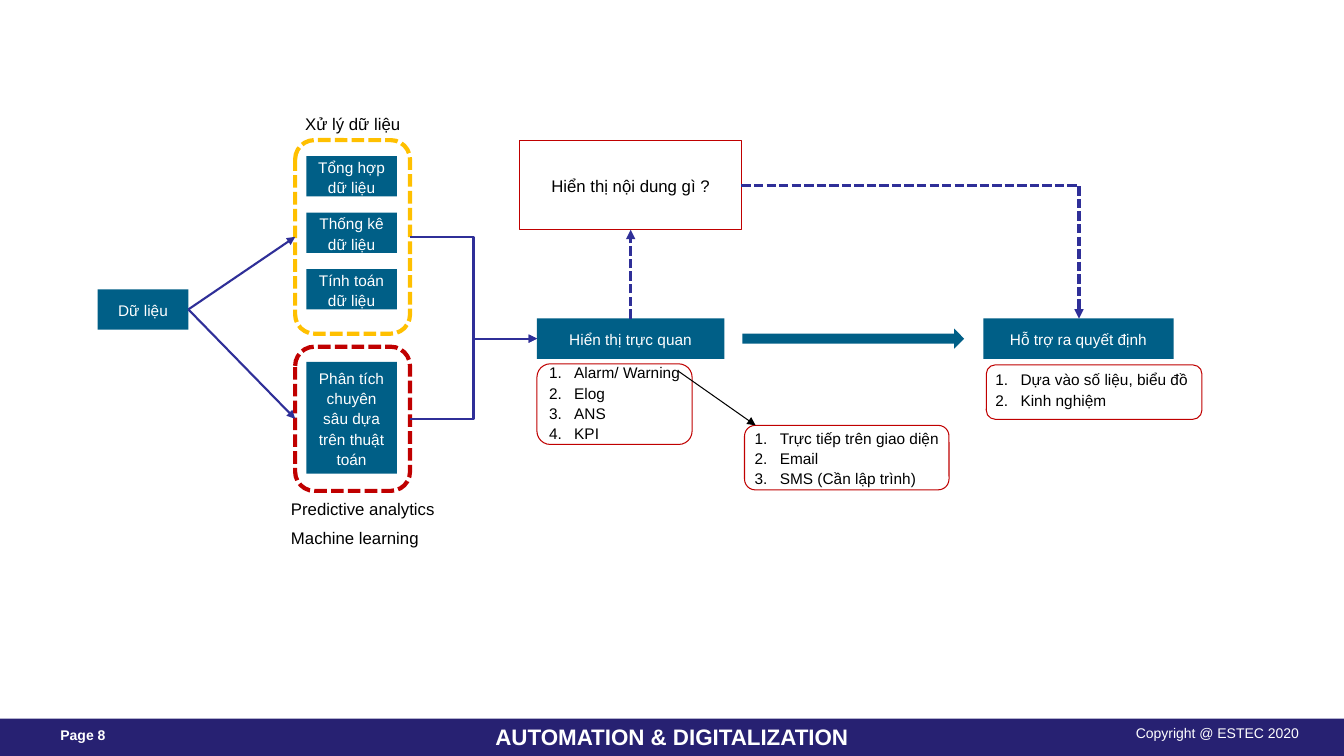
from lxml import etree
from pptx import Presentation
from pptx.dml.color import RGBColor
from pptx.enum.dml import MSO_LINE
from pptx.enum.shapes import MSO_CONNECTOR, MSO_SHAPE
from pptx.enum.text import MSO_ANCHOR, PP_ALIGN
from pptx.oxml.ns import qn
from pptx.util import Pt

PX = 9144
WHITE = RGBColor(0xFF, 0xFF, 0xFF)
BLACK = RGBColor(0x00, 0x00, 0x00)
NAVY = RGBColor(0x27, 0x21, 0x72)
TEAL = RGBColor(0x00, 0x5F, 0x87)
AMBER = RGBColor(0xFF, 0xC0, 0x00)
RED = RGBColor(0xC0, 0x00, 0x00)
INDIGO = RGBColor(0x2F, 0x2F, 0x98)
RECT, ROUND, ARROW = MSO_SHAPE.RECTANGLE, MSO_SHAPE.ROUNDED_RECTANGLE, MSO_SHAPE.RIGHT_ARROW
STRAIGHT, ELBOW = MSO_CONNECTOR.STRAIGHT, MSO_CONNECTOR.ELBOW
LEFT, CENTER, RIGHT = PP_ALIGN.LEFT, PP_ALIGN.CENTER, PP_ALIGN.RIGHT
TOP, MIDDLE = MSO_ANCHOR.TOP, MSO_ANCHOR.MIDDLE
DASH = MSO_LINE.SQUARE_DOT
TOP_SIDE, LEFT_SIDE, BOTTOM_SIDE, RIGHT_SIDE = range(4)
INSETS = (12, 6, 12, 6)
STEP_INSETS = (10, 6, 10, 6)


def write(sp, lines, size, color, align=LEFT, anchor=TOP, insets=(10, 5, 10, 5),
          bold=False, spacing=1.1, before=0, numbered=False):
    """Fill a shape or text box with one paragraph per line."""
    tf = sp.text_frame
    tf.word_wrap = True
    tf.vertical_anchor = anchor
    tf.margin_left, tf.margin_top, tf.margin_right, tf.margin_bottom = (n * PX for n in insets)
    for i, line in enumerate(lines):
        p = tf.add_paragraph() if i else tf.paragraphs[0]
        p.alignment = align
        p.line_spacing = spacing
        if i and before:
            p.space_before = Pt(before)
        if numbered:
            pPr = p._p.get_or_add_pPr()
            pPr.set("marL", str(25 * PX))
            pPr.set("indent", str(-25 * PX))
            etree.SubElement(pPr, qn("a:buFont"), typeface="+mj-lt")
            etree.SubElement(pPr, qn("a:buAutoNum"), type="arabicPeriod")
        r = p.add_run()
        r.text = line
        r.font.name = "Arial"
        r.font.size = Pt(size)
        r.font.bold = bold
        r.font.color.rgb = color


def add_text(slide, box, lines, size, color=BLACK, **style):
    """Add a text box."""
    sp = slide.shapes.add_textbox(*(n * PX for n in box))
    write(sp, lines, size, color, **style)


def add_box(slide, box, kind=RECT, fill=None, line=None, width=0.75, dash=None):
    """Add a preset shape with a plain fill or outline."""
    sp = slide.shapes.add_shape(kind, *(n * PX for n in box))
    sp.shadow.inherit = False
    if fill is None:
        sp.fill.background()
    else:
        sp.fill.solid()
        sp.fill.fore_color.rgb = fill
    if line is None:
        sp.line.fill.background()
    else:
        sp.line.color.rgb = line
        sp.line.width = Pt(width)
        sp.line.dash_style = dash
    return sp


def add_step(slide, box, label):
    """Add a teal process step with a centred label."""
    sp = add_box(slide, box, fill=TEAL)
    write(sp, [label], 11, WHITE, align=CENTER, anchor=MIDDLE, insets=STEP_INSETS)
    return sp


def add_arrow(slide, start, end, kind=STRAIGHT, color=INDIGO, width=1.5, dash=None):
    """Add a connector with an arrowhead at its end."""
    cx = slide.shapes.add_connector(kind, *(n * PX for n in start + end))
    cx.line.color.rgb = color
    cx.line.width = Pt(width)
    cx.line.dash_style = dash
    etree.SubElement(cx.line._get_or_add_ln(), qn("a:tailEnd"), type="triangle")
    etree.SubElement(cx._element.spPr, qn("a:effectLst"))
    return cx


def join(slide, source, source_side, target, target_side, **style):
    """Join two shapes with a straight arrow."""
    cx = add_arrow(slide, (0, 0), (0, 0), **style)
    cx.begin_connect(source, source_side)
    cx.end_connect(target, target_side)


def add_list(slide, text_box, frame_box, items):
    """Add a numbered list inside a red rounded frame."""
    add_text(slide, text_box, items, 11, anchor=MIDDLE, insets=INSETS, numbered=True)
    add_box(slide, frame_box, ROUND, line=RED)


def footer(slide, x, y, w, h):
    """Draw the band with page number, title and copyright."""
    band = add_box(slide, (x, y, w, h), fill=NAVY)
    write(band, ["AUTOMATION & DIGITALIZATION"], 16, WHITE, align=CENTER, bold=True, spacing=1)
    add_text(slide, (x + 1, y + 6, 152, 28), ["Page 8"], 10, WHITE,
             insets=(59, 0, 0, 13), bold=True)
    add_text(slide, (x + 627, y + 6, 705, 28), ["Copyright @ ESTEC 2020"], 10, WHITE,
             align=RIGHT, insets=(0, 0, 43, 13), spacing=1)


def processing(slide, x, y, w, h):
    """Draw both processing groups and return their frames."""
    basic_h, deep_h = 192, 143
    deep_y = y + h - deep_h
    add_text(slide, (x, y - 31, 125, 30), ["Xử lý dữ liệu"], 12, spacing=1)
    labels = ["Tổng hợp dữ liệu", "Thống kê dữ liệu", "Tính toán dữ liệu"]
    for i, label in enumerate(labels):
        add_step(slide, (x + 11, y + 16 + i * 56, 90, 40), label)
    add_step(slide, (x + 11, deep_y + 15, 90, 111), "Phân tích chuyên sâu dựa trên thuật toán")
    add_text(slide, (x - 14, y + h + 3, 170, 61), ["Predictive analytics", "Machine learning"], 12,
             spacing=1, before=6)
    basic = add_box(slide, (x, y, w, basic_h), ROUND, line=AMBER, width=3, dash=DASH)
    deep = add_box(slide, (x, deep_y, w, deep_h), ROUND, line=RED, width=3, dash=DASH)
    return basic, deep


def display(slide, x, y, w, h):
    """Draw the display step, its question and its lists."""
    step = add_step(slide, (x, y, w, h), "Hiển thị trực quan")
    question = add_box(slide, (x - 17, y - 177, 220, 89), line=RED)
    write(question, ["Hiển thị nội dung gì ?"], 12, BLACK,
          align=CENTER, anchor=MIDDLE, insets=INSETS)
    join(slide, step, TOP_SIDE, question, BOTTOM_SIDE, width=2.25, dash=DASH)
    add_list(slide, (x, y + 43, w, 80), (x, y + 45, 154, 80),
             ["Alarm/ Warning", "Elog", "ANS", "KPI"])
    add_list(slide, (x + 204, y + 106, 220, 64), (x + 206, y + 106, 203, 64),
             ["Trực tiếp trên giao diện", "Email", "SMS (Cần lập trình)"])
    add_arrow(slide, (x + 140, y + 52), (x + 217, y + 106), color=BLACK, width=0.75)
    add_box(slide, (x + 204, y + 10, 220, 20), ARROW, fill=TEAL)


def decision(slide, x, y, w, h):
    """Draw the decision step with its list."""
    add_step(slide, (x, y, w, h), "Hỗ trợ ra quyết định")
    add_list(slide, (x, y + 38, 220, 64), (x + 3, y + 46, 214, 54),
             ["Dựa vào số liệu, biểu đồ", "Kinh nghiệm"])


def flow_slide(prs):
    """Build the data flow slide."""
    slide = prs.slides.add_slide(prs.slide_layouts[6])
    footer(slide, 0, 713, 1334, 37)
    data = add_step(slide, (97, 287, 90, 40), "Dữ liệu")
    groups = processing(slide, 293, 139, 114, 348)
    display(slide, 533, 316, 186, 40)
    decision(slide, 976, 316, 189, 40)
    for group, middle in zip(groups, (235, 416)):
        join(slide, data, RIGHT_SIDE, group, LEFT_SIDE)
        add_arrow(slide, (407, middle), (533, 336), ELBOW)
    corner = add_arrow(slide, (736, 184), (1071, 316), ELBOW, width=2.25, dash=DASH)
    corner._element.spPr.find(qn("a:prstGeom")).set("prst", "bentConnector2")


def main():
    """Create and save the presentation."""
    prs = Presentation()
    prs.slide_width, prs.slide_height = 1334 * PX, 750 * PX
    flow_slide(prs)
    prs.save("out.pptx")


if __name__ == "__main__":
    main()
